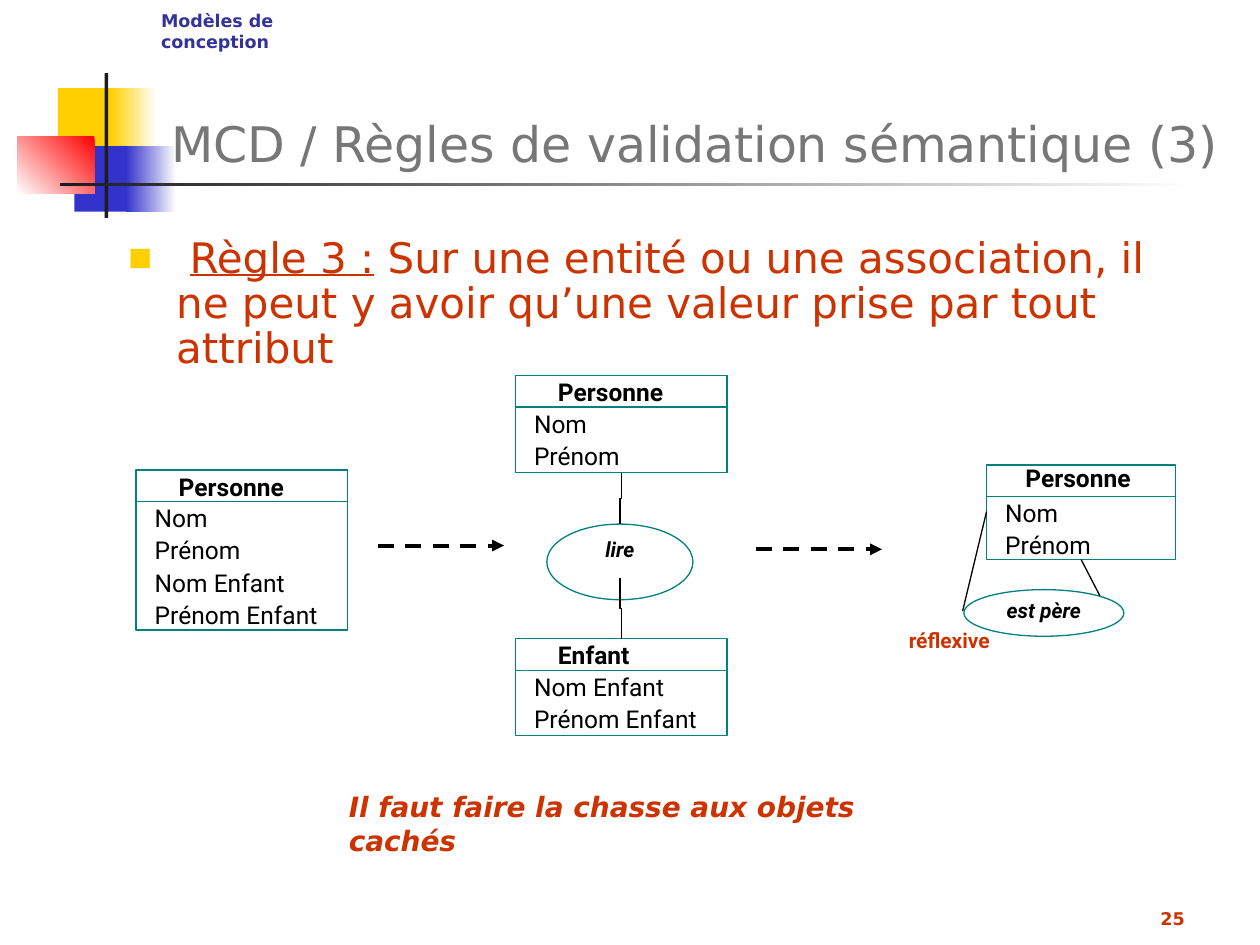
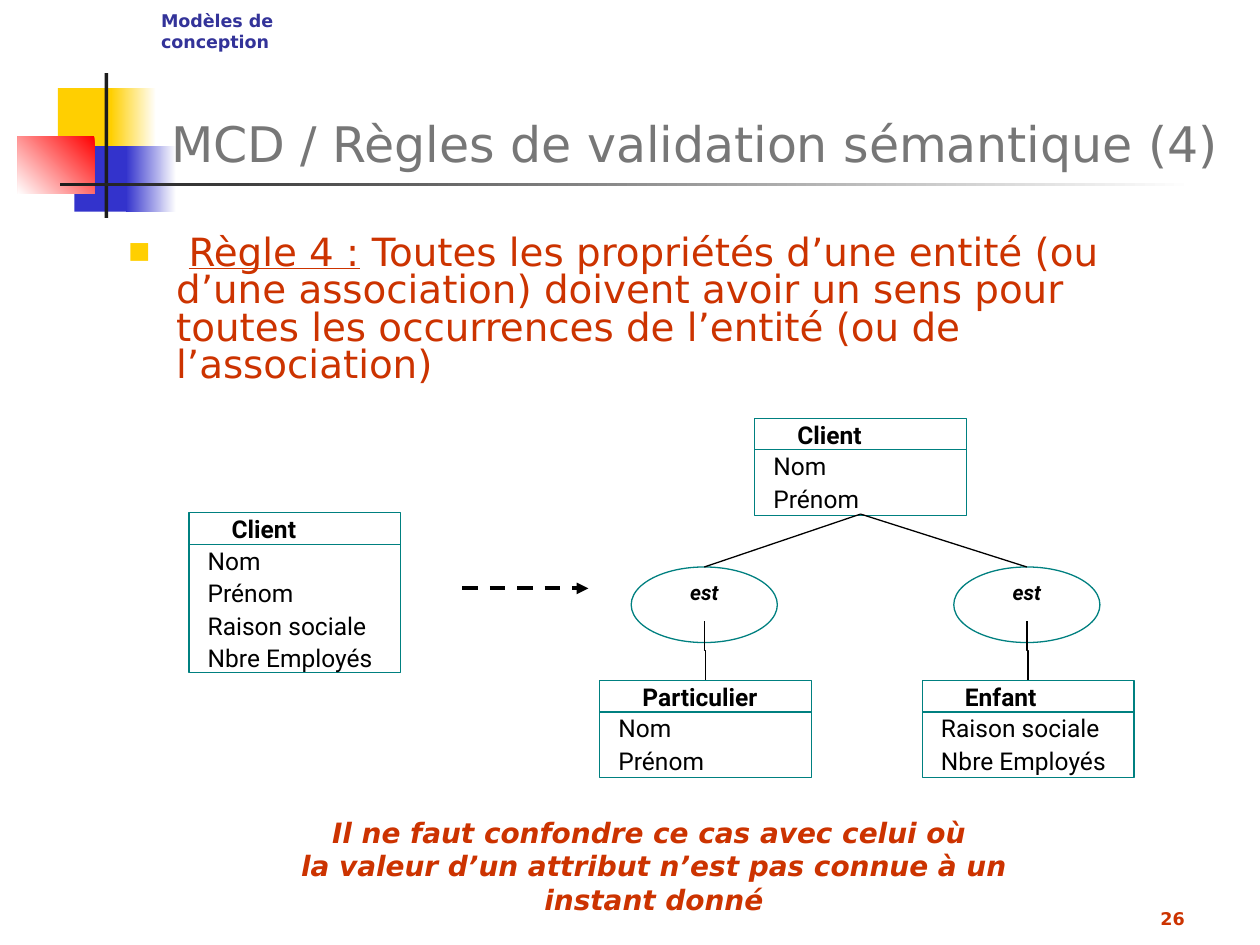
from lxml import etree
from pptx import Presentation
from pptx.dml.color import RGBColor
from pptx.enum.dml import MSO_LINE
from pptx.enum.shapes import MSO_CONNECTOR, MSO_SHAPE
from pptx.enum.text import MSO_ANCHOR, PP_ALIGN
from pptx.oxml.ns import qn
from pptx.util import Inches, Pt

RECTANGLE, OVAL = MSO_SHAPE.RECTANGLE, MSO_SHAPE.OVAL
STRAIGHT, ELBOW = MSO_CONNECTOR.STRAIGHT, MSO_CONNECTOR.ELBOW
LEFT, CENTER, RIGHT = PP_ALIGN.LEFT, PP_ALIGN.CENTER, PP_ALIGN.RIGHT
TOP, BOTTOM = MSO_ANCHOR.TOP, MSO_ANCHOR.BOTTOM
DASH = MSO_LINE.DASH

COLORS = {
    "yellow": "FFCF01", "blue": "3333CC", "red": "FF0000", "white": "FFFFFF",
    "ink": "1C1C1C", "title": "777777", "accent": "CC3300", "header": "333399",
    "teal": "008080", "black": "000000",
}
HEADING, DIAGRAM = "DejaVu Sans", "Roboto"


def color(name):
    return RGBColor.from_string(COLORS[name])


def add_text(page, text, place, size=14, font=DIAGRAM, ink="black", bold=False, italic=False,
             align=LEFT, anchor=TOP, spacing=None, oval=False):
    place = [Inches(value) for value in place]
    if oval:
        box = page.shapes.add_shape(OVAL, *place)
        box.shadow.inherit = False
        box.fill.background()
        box.line.color.rgb = color("teal")
        box.line.width = Pt(0.75)
    else:
        box = page.shapes.add_textbox(*place)
    frame = box.text_frame
    frame.word_wrap = True
    frame.vertical_anchor = anchor
    for index, line in enumerate(text.split("\n")):
        para = frame.add_paragraph() if index else frame.paragraphs[0]
        para.alignment = align
        if spacing:
            para.line_spacing = spacing
        span = para.add_run()
        span.text = line
        span.font.name, span.font.size = font, Pt(size)
        span.font.bold, span.font.italic = bold, italic
        span.font.color.rgb = color(ink)
    return box


def add_line(page, start, end, ink="black", arrow=False, bent=False):
    (x1, y1), (x2, y2) = start, end
    if bent:
        middle_x, middle_y = (x1 + x2) / 2, (y1 + y2) / 2
        half, jog = (y2 - y1) / 2, (x2 - x1) / 2
        x1, x2 = middle_x - half, middle_x + half
        y1, y2 = middle_y + jog, middle_y - jog
    line = page.shapes.add_connector(ELBOW if bent else STRAIGHT,
                                     *[Inches(value) for value in (x1, y1, x2, y2)])
    properties = line._element.spPr
    if bent:
        properties.find(qn("a:xfrm")).set("rot", "5400000")
    line.line.color.rgb = color(ink)
    line.line.width = Pt(2.25 if arrow else 0.75)
    if arrow:
        line.line.dash_style = DASH
        etree.SubElement(properties.find(qn("a:ln")), qn("a:tailEnd"), type="triangle")
    etree.SubElement(properties, qn("a:effectLst"))


BANDS = [
    ((0.46, 0.7, 0.48, 0.52), "yellow", None, None),
    ((0.88, 0.7, 0.36, 0.52), "white", "yellow", 180),
    ((0.59, 1.16, 0.46, 0.52), "blue", None, None),
    ((1, 1.16, 0.4, 0.52), "white", "blue", 180),
    ((0.14, 1.08, 0.61, 0.46), "red", "white", 225),
    ((0.83, 0.58, 0.03, 1.15), "ink", None, None),
    ((0.48, 1.45, 9, 0.03), "white", "ink", 180),
]

NAME = (0.24, -0.06, 1.1)
PERSON, COMPANY = "Nom\nPrénom", "Raison sociale\nNbre Employés"
CHILD = "Nom Enfant\nPrénom Enfant"

SLIDES = [
    {
        "number": 3,
        "rule": " Sur une entité ou une association, il ne peut y avoir qu’une valeur prise "
                "par tout attribut",
        "rule_size": 24, "rule_spacing": 0.9,
        "note": "Il faut faire la chasse aux objets cachés",
        "note_place": (2.67, 6.22, 4.33, 0.37), "note_align": LEFT,
        "entities": [
            ("Personne", PERSON + "\n" + CHILD, (1.08, 3.73, 1.68, 1.27), NAME),
            ("Personne", PERSON, (4.09, 2.98, 1.68, 0.77), NAME),
            ("Enfant", CHILD, (4.09, 5.07, 1.68, 0.77), NAME),
            ("Personne", PERSON, (7.83, 3.69, 1.5, 0.75), (0.21, -0.02, 0.8)),
        ],
        "associations": [("lire", (4.34, 4.16, 1.16, 0.6)),
                         ("est père", (7.65, 4.68, 1.27, 0.37))],
        "bends": [((4.93, 3.75), (4.92, 4.16)), ((4.92, 4.59), (4.93, 5.07))],
        "links": [((7.83, 4.06), (7.64, 4.85)), ((8.73, 4.73), (8.58, 4.44))],
        "arrows": [(3, 4.33), (6, 4.36)],
    },
    {
        "number": 4,
        "rule": " Toutes les propriétés d’une entité (ou d’une association) doivent avoir un "
                "sens pour toutes les occurrences de l’entité (ou de l’association)",
        "rule_size": 22.2, "rule_spacing": 0.8,
        "note": "Il ne faut confondre ce cas avec celui où \n"
                "la valeur d’un attribut n’est pas connue à un instant donné",
        "note_place": (2.02, 6.42, 6.34, 0.64), "note_align": CENTER,
        "entities": [
            ("Client", PERSON + "\n" + COMPANY, (1.5, 4.07, 1.68, 1.27), NAME),
            ("Client", PERSON, (5.99, 3.32, 1.68, 0.77), NAME),
            ("Particulier", PERSON, (4.76, 5.4, 1.68, 0.77), NAME),
            ("Enfant", COMPANY, (7.32, 5.4, 1.68, 0.77), NAME),
        ],
        "associations": [("est", (left, 4.5, 1.16, 0.6)) for left in (5.01, 7.57)],
        "bends": [((x, 4.93), (x + 0.01, 5.4)) for x in (5.59, 8.15)],
        "links": [((x, 4.5), (6.83, 4.08)) for x in (5.59, 8.15)],
        "arrows": [(3.67, 4.67)],
    },
]

deck = Presentation()
deck.slide_width, deck.slide_height = Inches(10), Inches(7.5)

for content in SLIDES:
    number = content["number"]
    page = deck.slides.add_slide(deck.slide_layouts[6])

    for place, first, second, angle in BANDS:
        band = page.shapes.add_shape(RECTANGLE, *[Inches(value) for value in place])
        band.shadow.inherit = False
        band.line.fill.background()
        if second:
            band.fill.gradient()
            band.fill.gradient_angle = angle
            for stop, name in zip(band.fill.gradient_stops, (first, second)):
                stop.color.rgb = color(name)
        else:
            band.fill.solid()
            band.fill.fore_color.rgb = color(first)

    add_text(page, f"MCD / Règles de validation sémantique ({number})", (1.26, 0.17, 8.74, 1.25),
             size=28, font=HEADING, ink="title", anchor=BOTTOM)
    add_text(page, "Modèles de conception", (1.18, 0.03, 1.78, 0.27),
             size=10, font=HEADING, ink="header", bold=True)
    add_text(page, str(number + 22), (7.42, 6.92, 2.08, 0.5),
             size=10, font=HEADING, ink="accent", bold=True, align=RIGHT, anchor=BOTTOM)

    size = content["rule_size"]
    rule = add_text(page, " ", (0.92, 1.83, 8.42, 1.25), size=size, font=HEADING,
                    spacing=content["rule_spacing"])
    para = rule.text_frame.paragraphs[0]
    for text, underline in ((f"Règle {number} :", True), (content["rule"], False)):
        span = para.add_run()
        span.text = text
        span.font.name, span.font.size, span.font.underline = HEADING, Pt(size), underline
        span.font.color.rgb = color("accent")
    properties = para._p.get_or_add_pPr()
    properties.set("marL", str(Inches(0.38)))
    properties.set("indent", str(Inches(-0.38)))
    bullet_color = etree.SubElement(properties, qn("a:buClr"))
    etree.SubElement(bullet_color, qn("a:srgbClr"), val=COLORS["yellow"])
    etree.SubElement(properties, qn("a:buSzPct"), val="60000")
    etree.SubElement(properties, qn("a:buFont"), typeface=HEADING)
    etree.SubElement(properties, qn("a:buChar"), char="■")

    for name, attributes, place, (name_x, name_y, name_spacing) in content["entities"]:
        left, top, width, height = place
        entity = page.shapes.add_shape(RECTANGLE, *[Inches(value) for value in place])
        entity.shadow.inherit = False
        entity.fill.background()
        entity.line.color.rgb = color("teal")
        entity.line.width = Pt(0.75)
        add_line(page, (left, top + 0.25), (left + width, top + 0.25), ink="teal")
        add_text(page, attributes, (left + 0.05, top + 0.19, 1.6, height - 0.15), spacing=1.1)
        add_text(page, name, (left + name_x, top + name_y, 1.22, 0.36),
                 bold=True, spacing=name_spacing)

    for name, place in content["associations"]:
        add_text(page, name, place, size=12, bold=True, italic=True, align=CENTER,
                 spacing=0.8, oval=True)
    for start, end in content["bends"]:
        add_line(page, start, end, bent=True)
    for start, end in content["links"]:
        add_line(page, start, end)
    for x, y in content["arrows"]:
        add_line(page, (x, y), (x + 1, y), arrow=True)
    if number == 3:
        add_text(page, "réflexive", (7.07, 4.97, 0.93, 0.26), size=12, ink="accent",
                 bold=True, align=CENTER, spacing=0.8)

    add_text(page, content["note"], content["note_place"], size=16, font=HEADING, ink="accent",
             bold=True, italic=True, align=content["note_align"])

deck.save("out.pptx")
